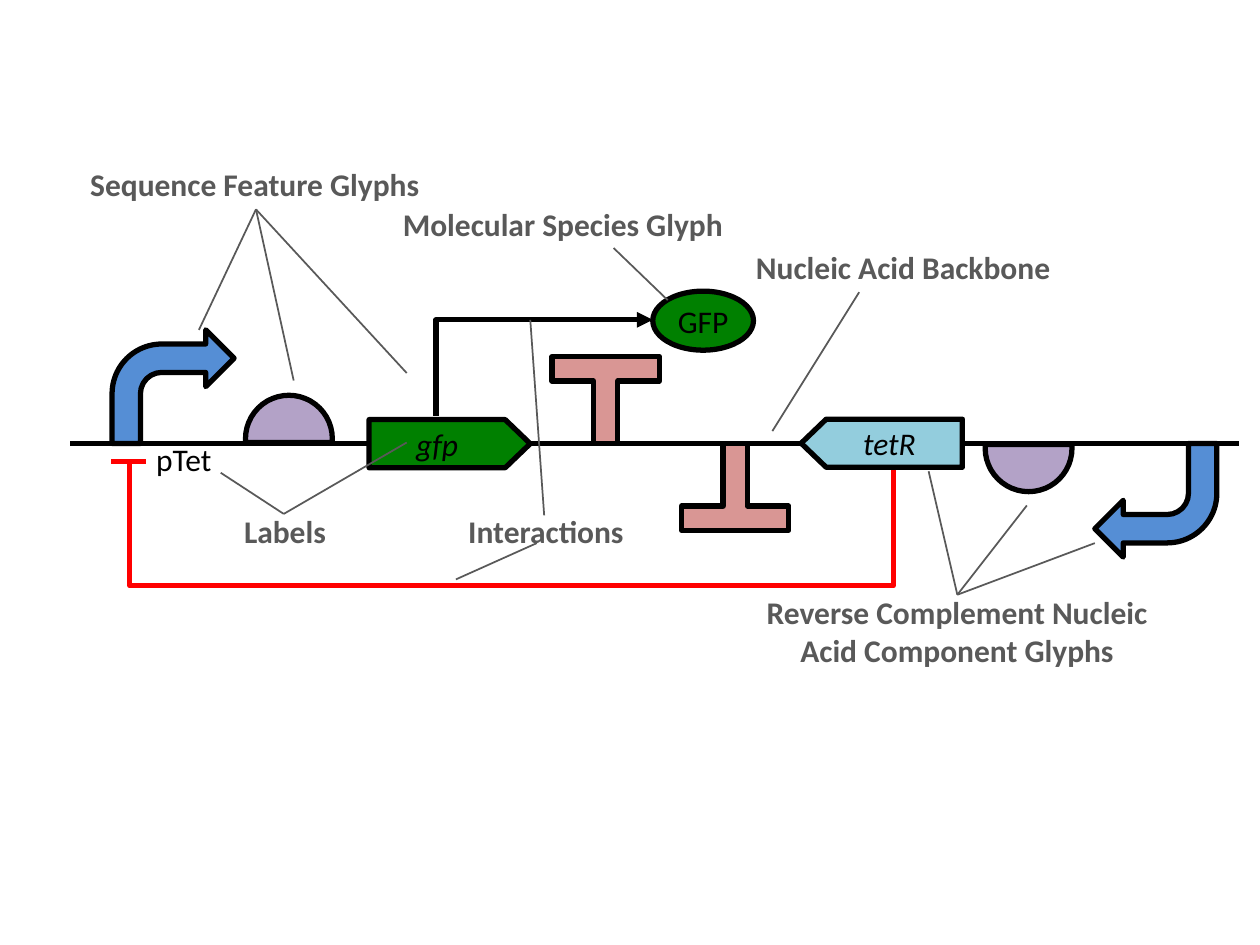
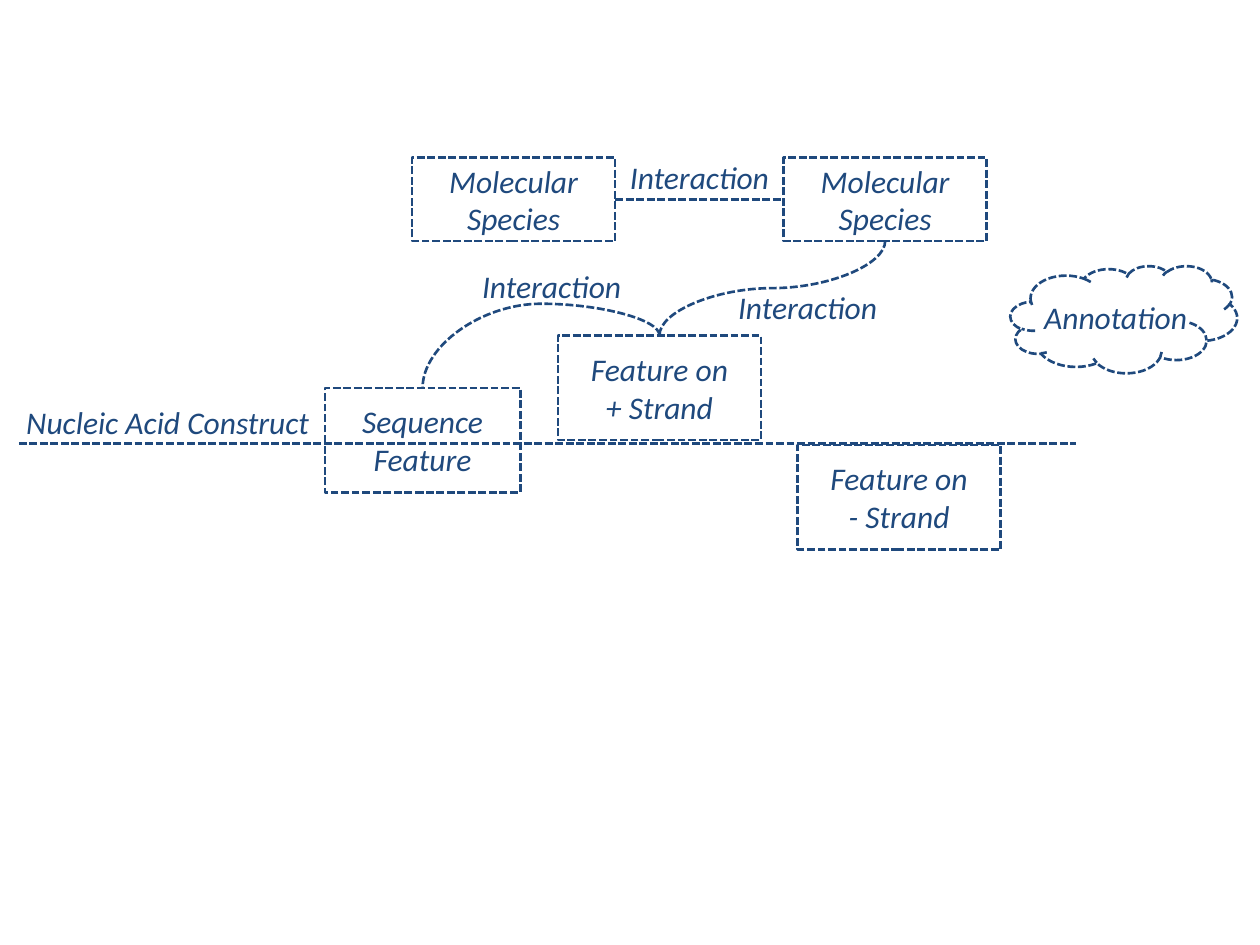
"""Two slides: an annotated genetic circuit and the schema behind it."""
from dataclasses import dataclass

from lxml import etree
from pptx import Presentation, dml, slide as slides
from pptx.dml import color as colors
from pptx.enum import dml as dashes, shapes, text
from pptx.oxml import ns
from pptx.util import Cm, Pt

FONT, FONT_SIZE = "Calibri", 18
BLACK, GREY, NAVY, RED = "000000", "595959", "1F497D", "FF0000"
GREEN, AQUA, BLUE, PURPLE, PINK = "008000", "93CDDD", "558ED5", "B3A2C7", "D99694"
LINE_HEIGHT = 1.02
KIND = shapes.MSO_SHAPE
LINK = shapes.MSO_CONNECTOR
CENTER = text.PP_ALIGN.CENTER


@dataclass
class Box:
    """A region of a slide; parts are placed in cm from its top left corner."""
    page: slides.Slide
    left: float
    top: float

    def at(self, x, y):
        """Turn a place in the box into a place on the slide."""
        return Cm(self.left + x), Cm(self.top + y)


@dataclass
class Pen:
    """The look of a line."""
    color: str
    width: float
    dashed: bool = False

    def draw(self, line):
        """Apply the look to a line."""
        line.color.rgb = rgb(self.color)
        line.width = Pt(self.width)
        if self.dashed:
            line.dash_style = dashes.MSO_LINE.SQUARE_DOT


OUTLINE, LEADER = Pen(BLACK, 3), Pen(GREY, 1)
REPRESSION, SCHEMA = Pen(RED, 3), Pen(NAVY, 1.5, dashed=True)


def rgb(value):
    """Read a hex string as a colour."""
    return colors.RGBColor.from_string(value)


def write(frame, lines, color, align=None, bold=None, italic=None):
    """Fill a text frame with one paragraph for each line."""
    for index, words in enumerate(lines):
        para = frame.paragraphs[0] if index == 0 else frame.add_paragraph()
        para.text = words
        para.alignment = align
        para.font.name, para.font.size = FONT, Pt(FONT_SIZE)
        para.font.bold, para.font.italic = bold, italic
        para.font.color.rgb = rgb(color)


def add_label(box, x, y, width, lines, color, **style):
    """Add a text box that does not wrap."""
    height = LINE_HEIGHT if len(lines) == 1 else 1.8
    label = box.page.shapes.add_textbox(*box.at(x, y), Cm(width), Cm(height))
    label.text_frame.word_wrap = False
    label.text_frame.auto_size = text.MSO_AUTO_SIZE.SHAPE_TO_FIT_TEXT
    write(label.text_frame, lines, color, **style)


def add_figure(box, kind, x, y, width, height, pen, fill=None, adjust=()):
    """Add a preset shape without shadow."""
    figure = box.page.shapes.add_shape(kind, *box.at(x, y), Cm(width), Cm(height))
    figure.shadow.inherit = False
    pen.draw(figure.line)
    if fill:
        figure.fill.solid()
        figure.fill.fore_color.rgb = rgb(fill)
    else:
        figure.fill.background()
    for index, value in enumerate(adjust):
        figure.adjustments[index] = value
    figure.text_frame.vertical_anchor = text.MSO_ANCHOR.MIDDLE
    return figure


def add_line(box, start, end, pen, kind=LINK.STRAIGHT):
    """Add a connector without shadow."""
    line = box.page.shapes.add_connector(kind, *box.at(*start), *box.at(*end))
    pen.draw(line.line)
    etree.SubElement(line._element.spPr, ns.qn("a:effectLst"))
    return line


def add_route(box, start, end, pen, kind, adjust, turn=0, flip="", preset=None):
    """Add a bent or curved connector, turned and flipped to leave as wanted."""
    (left, right), (top, bottom) = (sorted(pair) for pair in zip(start, end))
    width, height = right - left, bottom - top
    if turn % 180:
        left, top = left + (width - height) / 2, top + (height - width) / 2
        width, height = height, width
    route = add_line(box, (left, top), (left + width, top + height), pen, kind)
    frame = route._element.spPr.find(ns.qn("a:xfrm"))
    frame.set("rot", str(turn * 60000))
    for axis in flip:
        frame.set("flip" + axis, "1")
    geometry = route._element.spPr.find(ns.qn("a:prstGeom"))
    if preset:
        geometry.set("prst", preset)
    guides = geometry.find(ns.qn("a:avLst"))
    for index, value in enumerate(adjust, 1):
        etree.SubElement(guides, ns.qn("a:gd"), name=f"adj{index}",
                         fmla=f"val {round(value * 100000)}")
    return route


# Shape, width, height, rise above the backbone, adjustments, turn on the + strand
GLYPHS = {
    "promoter": (KIND.BENT_ARROW, 2.46, 2.29, 2.29, (), 0),
    "binding site": (KIND.CHORD, 1.75, 1.75, 0.97, (105.06, 3.02), 0),
    "coding": (KIND.RIGHT_ARROW, 3.25, 0.97, 0.48, (1, 0.52), 0),
    "terminator": (KIND.LEFT_RIGHT_UP_ARROW, 2.16, 1.75, 1.75, (0.5, 0.14, 0), 180),
}


def add_glyph(box, name, x, axis, fill, reverse=False):
    """Stand a glyph on the backbone, or hang it below when reversed."""
    kind, width, height, rise, adjust, turn = GLYPHS[name]
    if reverse:
        rise, turn = height - rise, 180 - turn
    glyph = add_figure(box, kind, x, axis - rise, width, height, OUTLINE, fill, adjust)
    glyph.rotation = turn
    return glyph


def draw_circuit(box):
    """Draw the backbone with its glyphs and their names."""
    axis = 5.74
    add_line(box, (0, axis), (23.55, axis), OUTLINE)
    gene = add_glyph(box, "coding", 6.02, axis, GREEN)
    write(gene.text_frame, ["gfp"], BLACK, align=CENTER, italic=True)
    for name, x, fill, reverse in [
        ("binding site", 3.53, PURPLE, False),
        ("promoter", 0.84, BLUE, False),
        ("terminator", 9.71, PINK, False),
        ("coding", 14.73, AQUA, True),
        ("binding site", 18.44, PURPLE, True),
        ("promoter", 20.65, BLUE, True),
        ("terminator", 12.32, PINK, True),
    ]:
        add_glyph(box, name, x, axis, fill, reverse)
    add_label(box, 15.73, 5.23, 1.75, ["tetR"], BLACK, italic=True)
    add_label(box, 1.48, 5.54, 1.63, ["pTet"], BLACK)


def draw_interactions(box):
    """Draw the protein, its production and the repression of the promoter."""
    add_route(box, (16.59, 6.27), (1.2, 6.1), REPRESSION, LINK.ELBOW,
              (-13.75, 1), turn=90, flip="H", preset="bentConnector4")
    add_line(box, (0.82, 6.1), (1.53, 6.1), REPRESSION)
    protein = add_figure(box, KIND.OVAL, 11.74, 2.67, 2.03, 1.19, OUTLINE, GREEN)
    protein.text_frame.word_wrap = False
    write(protein.text_frame, ["GFP"], BLACK, align=CENTER)
    production = add_route(box, (7.37, 5.18), (11.74, 3.25), OUTLINE, LINK.ELBOW,
                           (0,), flip="V")
    etree.SubElement(production.line._get_or_add_ln(), ns.qn("a:tailEnd"),
                     type="triangle")


# Lines, x, y, width, and leaders as a start with its ends
CALLOUTS = [
    (["Nucleic Acid Backbone"], 13.57, 1.68, 6.5,
     [((15.9, 2.69), [(14.15, 5.49)])]),
    (["Sequence Feature Glyphs"], 0.15, 0, 7.19,
     [((3.74, 1.02), [(2.59, 3.45), (4.5, 4.47), (6.78, 4.32)])]),
    (["Reverse Complement Nucleic", "Acid Component Glyphs"], 13.72, 8.64, 8.31,
     [((17.88, 8.79), [(17.3, 6.3), (19.28, 6.99), (20.65, 7.75)])]),
    (["Labels"], 3.25, 6.99, 2.18,
     [((4.3, 7.16), [(3.03, 6.33), (6.78, 5.72)])]),
    (["Interactions"], 7.77, 6.99, 3.71,
     [((9.4, 7.75), [(7.77, 8.48)]), ((9.55, 7.19), [(9.27, 3.25)])]),
    (["Molecular Species Glyph"], 6.45, 0.81, 7.26,
     [((10.95, 1.8), [(12.04, 2.85)])]),
]


def draw_callouts(box):
    """Name the parts of the circuit, with leaders to them."""
    for lines, x, y, width, leaders in CALLOUTS:
        align = CENTER if len(lines) > 1 else None
        add_label(box, x, y, width, lines, GREY, align=align, bold=True)
        for start, ends in leaders:
            for end in ends:
                add_line(box, start, end, LEADER)


def add_node(box, kind, x, y, width, height, lines, inset=None):
    """Add a dashed shape with centred italic text."""
    node = add_figure(box, kind, x, y, width, height, SCHEMA)
    write(node.text_frame, lines, NAVY, align=CENTER, italic=True)
    if inset is not None:
        node.text_frame.margin_left = node.text_frame.margin_right = Cm(inset)
    return node


def draw_schema(box):
    """Draw the construct, its features, the species and what links them."""
    axis, width, height = 5.87, 4.09, 2.11
    plus_x, plus_y, minus_x = 10.87, 3.69, 15.7
    sequence_x, sequence_y, sequence_width = 6.17, 4.75, 3.94
    first_x, second_x, species_y, species_height = 7.93, 15.42, 0.11, 1.68

    add_line(box, (0, axis), (21.31, axis), SCHEMA)
    for x, y, sign in [(plus_x, plus_y, "+"), (minus_x, axis + 0.03, "-")]:
        add_node(box, KIND.RECTANGLE, x, y, width, height,
                 ["Feature on", f"{sign} Strand"], inset=0)
    add_node(box, KIND.RECTANGLE, sequence_x, sequence_y, sequence_width, height,
             ["Sequence Feature"])
    cloud = add_node(box, KIND.CLOUD, 19.99, 2.29, 4.57, 2.16, ["Annotation"])
    cloud.text_frame.word_wrap = False
    for x in (first_x, second_x):
        add_node(box, KIND.RECTANGLE, x, species_y, width, species_height,
                 ["Molecular Species"])

    plus_top = (plus_x + width / 2, plus_y)
    species_bottom = (second_x + width / 2, species_y + species_height)
    sequence_top = (sequence_x + sequence_width / 2, sequence_y)
    add_route(box, plus_top, species_bottom, SCHEMA, LINK.CURVE, (0.5,), 90, "HV")
    add_route(box, plus_top, sequence_top, SCHEMA, LINK.CURVE, (-0.6,), 270, "HV")
    middle = species_y + species_height / 2
    add_line(box, (first_x + width, middle), (second_x, middle), SCHEMA)

    add_label(box, -0.1, 4.93, 6.27, ["Nucleic Acid Construct"], NAVY, italic=True)
    for x, y in [(9.09, 2.19), (12.07, 0), (14.25, 2.62)]:
        add_label(box, x, y, 3.51, ["Interaction"], NAVY, italic=True)


def main():
    """Build both slides and save the deck."""
    deck = Presentation()
    deck.slide_width, deck.slide_height = Cm(25.4), Cm(19.05)
    blank = deck.slide_layouts[6]

    circuit = Box(deck.slides.add_slide(blank), 1.42, 3.2)
    draw_circuit(circuit)
    draw_interactions(circuit)
    draw_callouts(circuit)

    draw_schema(Box(deck.slides.add_slide(blank), 0.38, 3.07))
    deck.save("out.pptx")


main()
